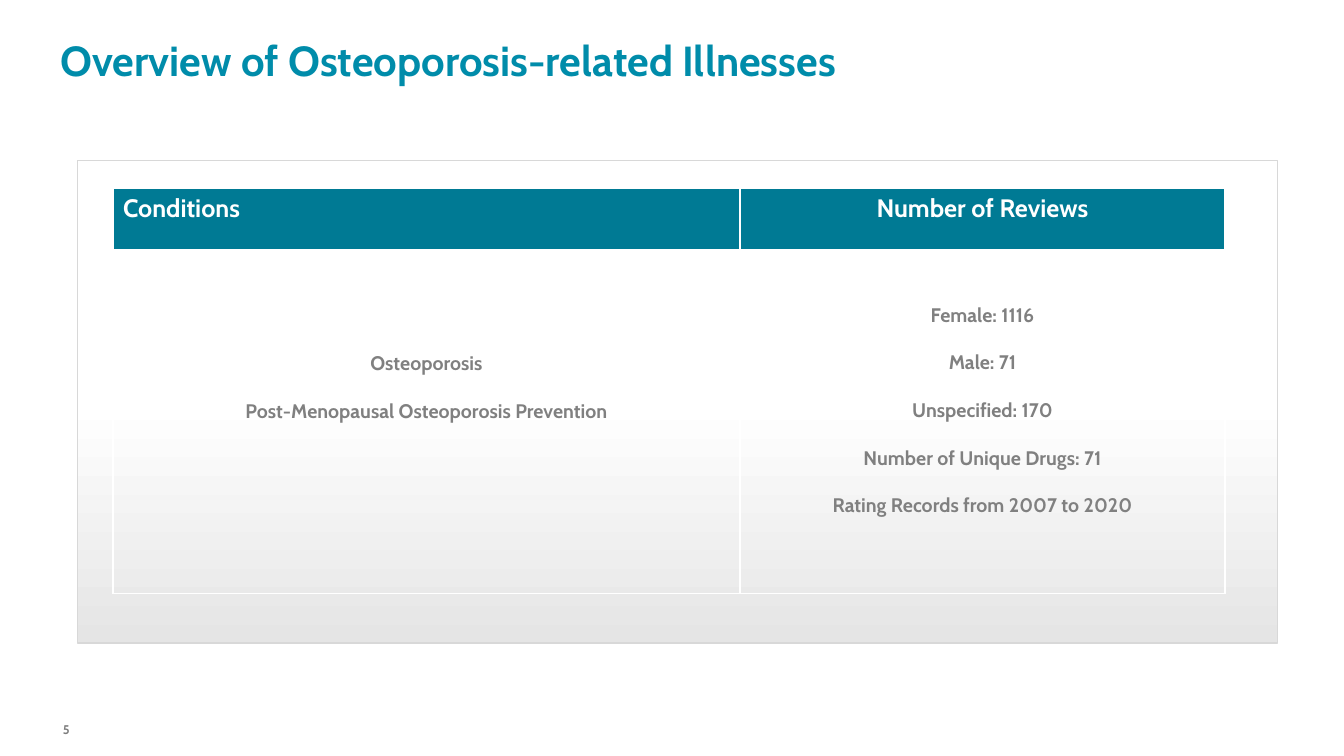
from lxml import etree
from pptx import Presentation
from pptx.dml.color import RGBColor
from pptx.enum.shapes import MSO_SHAPE
from pptx.enum.text import MSO_ANCHOR, PP_ALIGN
from pptx.oxml.ns import qn
from pptx.util import Pt

RECT = MSO_SHAPE.RECTANGLE
TOP, MIDDLE = MSO_ANCHOR.TOP, MSO_ANCHOR.MIDDLE
LEFT, CENTER, RIGHT = PP_ALIGN.LEFT, PP_ALIGN.CENTER, PP_ALIGN.RIGHT
FONT = "Cabin"
WHITE, TEAL, GREY = "FFFFFF", "007A94", "808080"
PX_PER_INCH = 100
HEADERS = [("Conditions", LEFT), ("Number of Reviews", CENTER)]
CONDITIONS = ["Osteoporosis", "Post-Menopausal Osteoporosis Prevention"]
REVIEWS = ["Female: 1116", "Male: 71", "Unspecified: 170",
           "Number of Unique Drugs: 71", "Rating Records from 2007 to 2020"]


def px(n):
    """Turn px into EMU."""
    return n * 914400 // PX_PER_INCH


def rgb(color):
    """Turn a hex string into a colour."""
    return RGBColor.from_string(color)


def write(tf, lines, size, color, align, spacing=1):
    """Fill a text frame with one bold paragraph per line."""
    for i, line in enumerate(lines):
        p = tf.paragraphs[0] if i == 0 else tf.add_paragraph()
        p.alignment = align
        p.line_spacing = spacing
        r = p.add_run()
        r.text = line
        r.font.name = FONT
        r.font.size = Pt(size)
        r.font.bold = True
        r.font.color.rgb = rgb(color)


def add_text(s, box, text, size, color, align, anchor):
    """Add a text box without insets."""
    tf = s.shapes.add_textbox(*map(px, box)).text_frame
    tf.word_wrap = True
    tf.vertical_anchor = anchor
    tf.margin_left = tf.margin_top = tf.margin_right = tf.margin_bottom = 0
    write(tf, [text], size, color, align)


def add_panel(s, box):
    """Add the framed panel that fades to grey at the bottom."""
    sp = s.shapes.add_shape(RECT, *map(px, box))
    sp.shadow.inherit = False
    sp.fill.gradient()
    sp.fill.gradient_angle = 270
    stops = [(0.5, WHITE), (1, "E5E5E5")]
    for stop, (position, color) in zip(sp.fill.gradient_stops, stops):
        stop.position = position
        stop.color.rgb = rgb(color)
    sp.line.color.rgb = rgb("D8D8D8")
    sp.line.width = Pt(1)


def set_borders(cell, **widths):
    """Give a cell white borders, with widths in points by side."""
    tcPr = cell._tc.get_or_add_tcPr()
    for side in "LRTB":
        ln = etree.SubElement(tcPr, qn(f"a:ln{side}"), w=str(Pt(widths.get(side, 1))))
        fill = etree.SubElement(ln, qn("a:solidFill"))
        etree.SubElement(fill, qn("a:srgbClr"), val=WHITE)


def add_review_table(s, box, cols, rows):
    """Add the table of conditions and review counts."""
    table = s.shapes.add_table(len(rows), len(cols), *map(px, box)).table
    table.horz_banding = False
    for col, width in zip(table.columns, cols):
        col.width = px(width)
    for row, height in zip(table.rows, rows):
        row.height = px(height)
    for i, (text, align) in enumerate(HEADERS):
        cell = table.cell(0, i)
        set_borders(cell, B=3)
        cell.fill.solid()
        cell.fill.fore_color.rgb = rgb(TEAL)
        write(cell.text_frame, [text], 18, WHITE, align)
    for i, (lines, top) in enumerate([(CONDITIONS, 76), (REVIEWS, 28)]):
        cell = table.cell(1, i)
        set_borders(cell, T=3)
        cell.fill.background()
        cell.margin_top = px(top)
        write(cell.text_frame, lines, 14, GREY, CENTER, 2)


def main():
    """Build and save the slide."""
    prs = Presentation()
    prs.slide_width, prs.slide_height = px(1333), px(750)
    s = prs.slides.add_slide(prs.slide_layouts[6])
    add_text(s, (22, 712, 47, 24), "5", 9, "7D7D7D", RIGHT, MIDDLE)
    add_text(s, (60, 34, 1050, 124), "Overview of Osteoporosis-related Illnesses",
             30, "008CAA", LEFT, TOP)
    add_panel(s, (77, 159, 1190, 479))
    add_review_table(s, (112, 187, 1103, 402), (622, 481), (62, 340))
    prs.save("out.pptx")


if __name__ == "__main__":
    main()
